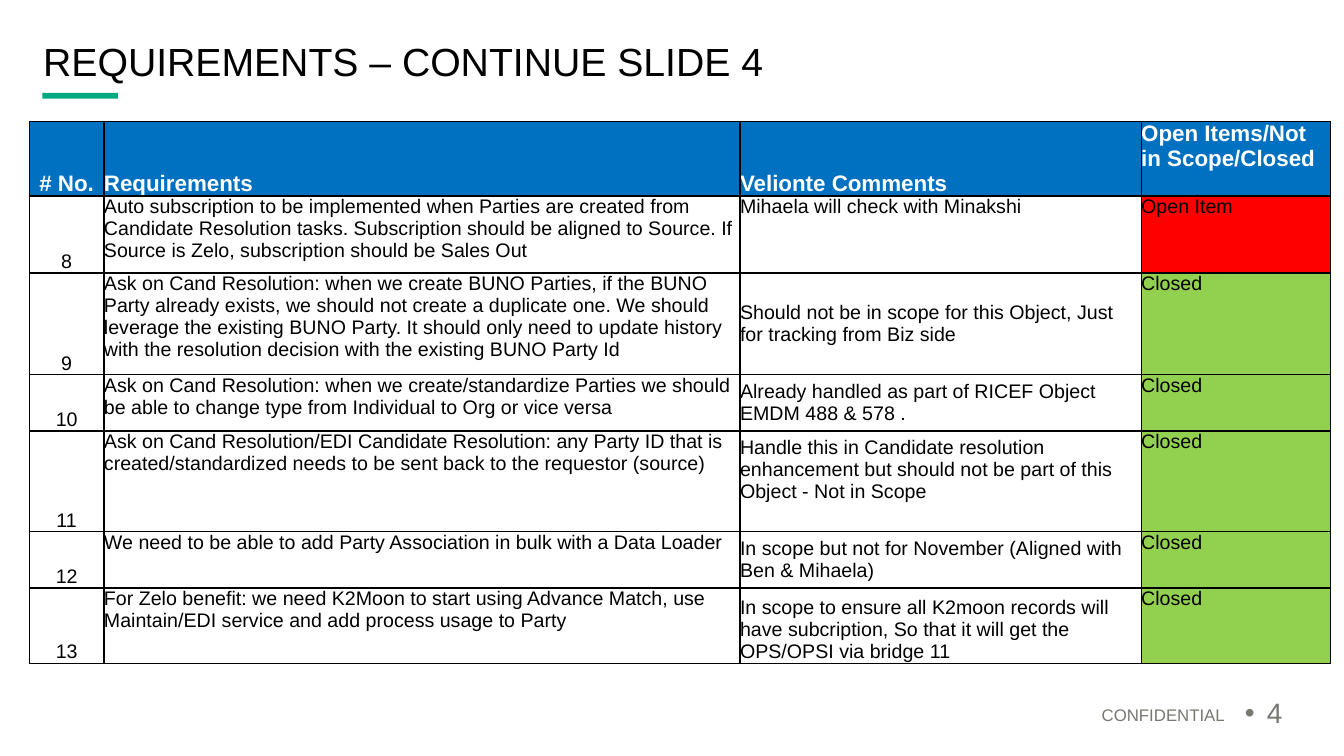
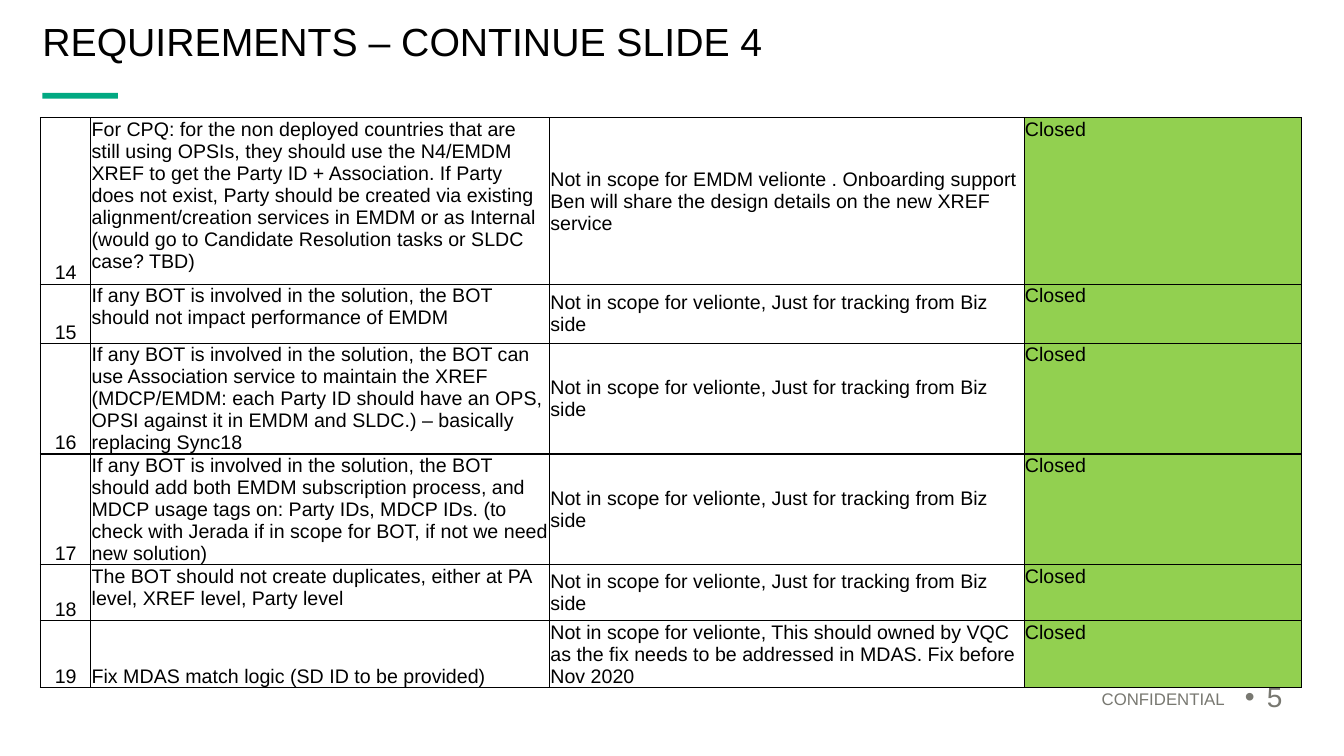
import pptx
import pptx.util
import pptx.dml.color
import pptx.enum.shapes
import pptx.enum.text
import pptx.oxml.ns
import lxml.etree

Cm = pptx.util.Cm
Pt = pptx.util.Pt
qn = pptx.oxml.ns.qn
ALIGN = pptx.enum.text.PP_ALIGN
ANCHORS = {
    "t": pptx.enum.text.MSO_ANCHOR.TOP,
    "m": pptx.enum.text.MSO_ANCHOR.MIDDLE,
    "b": pptx.enum.text.MSO_ANCHOR.BOTTOM,
}
COLORS = {
    "text": "000000",
    "white": "FFFFFF",
    "accent": "01A982",
    "footer": "787871",
    "header": "0070C0",
    "Open Item": "FF0000",
    "Closed": "92D050",
}
TITLE = "REQUIREMENTS – CONTINUE SLIDE 4"
TRACKING = "Not in scope for velionte, Just for tracking from Biz side"
HEADER = ["# No.", "Requirements", "Velionte Comments", "Open Items/Not in Scope/Closed"]

# Each row: number, requirement, comment, status, anchors of the four cells
REQUIREMENTS_8_TO_13 = [
    ("8", "Auto subscription to be implemented when Parties are created from Candidate "
     "Resolution tasks. Subscription should be aligned to Source. If Source is Zelo, "
     "subscription should be Sales Out",
     "Mihaela will check with Minakshi", "Open Item", "bttt"),
    ("9", "Ask on Cand Resolution: when we create BUNO Parties, if the BUNO Party already "
     "exists, we should not create a duplicate one. We should leverage the existing BUNO "
     "Party. It should only need to update history with the resolution decision with the "
     "existing BUNO Party Id",
     "Should not be in scope for this Object, Just for tracking from Biz side",
     "Closed", "btmt"),
    ("10", "Ask on Cand Resolution: when we create/standardize Parties we should be able to "
     "change type from Individual to Org or vice versa",
     "Already handled as part of RICEF Object EMDM 488 & 578 .", "Closed", "btmt"),
    ("11", "Ask on Cand Resolution/EDI Candidate Resolution: any Party ID that is "
     "created/standardized needs to be sent back to the requestor (source)",
     "Handle this in Candidate resolution enhancement but should not be part of this "
     "Object - Not in Scope", "Closed", "btmt"),
    ("12", "We need to be able to add Party Association in bulk with a Data Loader",
     "In scope but not for November (Aligned with Ben & Mihaela)", "Closed", "btmt"),
    ("13", "For Zelo benefit: we need K2Moon to start using Advance Match, use "
     "Maintain/EDI service and add process usage to Party",
     "In scope to ensure all K2moon records will have subcription, So that it will get "
     "the OPS/OPSI via bridge 11", "Closed", "btbt"),
]
REQUIREMENTS_14_TO_19 = [
    ("14", "For CPQ: for the non deployed countries that are still using OPSIs, they should "
     "use the N4/EMDM XREF to get the Party ID + Association. If Party does not exist, "
     "Party should be created via existing alignment/creation services in EMDM or as "
     "Internal (would go to Candidate Resolution tasks or SLDC case? TBD)",
     "Not in scope for EMDM velionte . Onboarding support\n"
     "Ben will share the design details on the new XREF service", "Closed", "btmt"),
    ("15", "If any BOT is involved in the solution, the BOT should not impact performance "
     "of EMDM", TRACKING, "Closed", "btmt"),
    ("16", "If any BOT is involved in the solution, the BOT can use Association service to "
     "maintain the XREF (MDCP/EMDM: each Party ID should have an OPS, OPSI against it in "
     "EMDM and SLDC.) – basically replacing Sync18", TRACKING, "Closed", "btmt"),
    ("17", "If any BOT is involved in the solution, the BOT should add both EMDM "
     "subscription process, and MDCP usage tags on: Party IDs, MDCP IDs. (to check with "
     "Jerada if in scope for BOT, if not we need new solution)",
     TRACKING, "Closed", "btmt"),
    ("18", "The BOT should not create duplicates, either at PA level, XREF level, Party "
     "level", TRACKING, "Closed", "btmt"),
    ("19", "Fix MDAS match logic (SD ID to be provided)",
     "Not in scope for velionte, This should owned by VQC as the fix needs to be addressed "
     "in MDAS. Fix before Nov 2020", "Closed", "bbmt"),
]


def rgb(name):
    return pptx.dml.color.RGBColor.from_string(COLORS[name])


def write_text(frame, text, size=14, color="text", bold=False, align=ALIGN.LEFT,
               spacing=None):
    """Write one paragraph for each line; the default line height is fixed."""
    for index, line in enumerate(text.split("\n")):
        paragraph = frame.paragraphs[0] if index == 0 else frame.add_paragraph()
        paragraph.alignment = align
        paragraph.line_spacing = spacing or Pt(size * 1.12)
        run = paragraph.add_run()
        run.text = line
        run.font.name = "Arial"
        run.font.size = Pt(size)
        run.font.bold = bold
        run.font.color.rgb = rgb(color)
        # The paragraph mark must not be taller than the text
        lxml.etree.SubElement(paragraph._p, qn("a:endParaRPr"), sz=str(size * 100))


class Deck:
    def __init__(self):
        self.presentation = pptx.Presentation()
        self.presentation.slide_width = Cm(33.87)
        self.presentation.slide_height = Cm(19.05)
        self.slide = None

    def add_slide(self):
        self.slide = self.presentation.slides.add_slide(self.presentation.slide_layouts[6])

    def text_box(self, left, top, width, height, text, inset=None, anchor="t", **style):
        shape = self.slide.shapes.add_textbox(Cm(left), Cm(top), Cm(width), Cm(height))
        frame = shape.text_frame
        frame.word_wrap = True
        frame.vertical_anchor = ANCHORS[anchor]
        if inset is not None:
            frame.margin_left = frame.margin_right = Cm(inset)
            frame.margin_top = frame.margin_bottom = Cm(inset)
        write_text(frame, text, spacing=0.9, **style)
        return frame

    def title(self, left, top):
        bar = self.slide.shapes.add_shape(
            pptx.enum.shapes.MSO_SHAPE.RECTANGLE, Cm(1.07), Cm(2.34), Cm(1.9), Cm(0.15))
        bar.shadow.inherit = False
        bar.fill.solid()
        bar.fill.fore_color.rgb = rgb("accent")
        bar.line.fill.background()
        self.text_box(left, top, 31.72, 1.19, TITLE, inset=0, size=28)

    def footer(self, top, number):
        self.text_box(19.69, top + 0.2, 11.43, 0.61, "CONFIDENTIAL",
                      size=12, color="footer", align=ALIGN.RIGHT)
        frame = self.text_box(31.12, top, 1.9, 1.02, str(number), anchor="m",
                              size=20, color="footer")
        properties = frame.paragraphs[0]._p.get_or_add_pPr()
        properties.set("marL", str(Cm(0.56)))
        properties.set("indent", str(-Cm(0.56)))
        lxml.etree.SubElement(properties, qn("a:buSzPct"), val="100000")
        lxml.etree.SubElement(properties, qn("a:buFont"), typeface="Arial")
        lxml.etree.SubElement(properties, qn("a:buChar"), char="•")

    def cell(self, cell, text, anchor, fill, inset, **style):
        cell.margin_left = cell.margin_right = cell.margin_top = Cm(inset)
        cell.margin_bottom = Cm(0)
        cell.vertical_anchor = ANCHORS[anchor]
        write_text(cell.text_frame, text, **style)
        properties = cell._tc.get_or_add_tcPr()
        for side in "LRTB":
            line = lxml.etree.SubElement(properties, qn("a:ln" + side), w=str(Pt(1)))
            solid = lxml.etree.SubElement(line, qn("a:solidFill"))
            lxml.etree.SubElement(solid, qn("a:srgbClr"), val=COLORS["text"])
        if fill:
            cell.fill.solid()
            cell.fill.fore_color.rgb = rgb(fill)
        else:
            cell.fill.background()

    def table(self, left, top, widths, heights, rows, header=None, inset=0):
        table = self.slide.shapes.add_table(
            len(heights), len(widths), Cm(left), Cm(top),
            Cm(sum(widths)), Cm(sum(heights))).table
        table.first_row = header is not None
        table.horz_banding = False
        for column, width in zip(table.columns, widths):
            column.width = Cm(width)
        for row, height in zip(table.rows, heights):
            row.height = Cm(height)
        aligns = [ALIGN.CENTER] + [ALIGN.LEFT] * 3
        if header:
            for column, text in enumerate(header):
                self.cell(table.cell(0, column), text, "bbbt"[column], "header", inset,
                          size=16, color="white", bold=True, align=aligns[column])
        for row, (*texts, anchors) in enumerate(rows, start=1 if header else 0):
            fills = [None, None, None, texts[3]]
            for column, text in enumerate(texts):
                self.cell(table.cell(row, column), text, anchors[column], fills[column],
                          inset, align=aligns[column])
        return table


def main():
    deck = Deck()

    # Requirements 8 to 13
    deck.add_slide()
    deck.title(1.09, 1.07)
    deck.footer(17.5, 4)
    table = deck.table(0.74, 3.06, [1.88, 16.03, 10.11, 4.76],
                       [1.88, 1.94, 2.56, 1.42, 2.53, 1.43, 1.89],
                       REQUIREMENTS_8_TO_13, header=HEADER)
    table.cell(4, 2).margin_bottom = Cm(0.56)  # lifts the comment by half a line

    # Requirements 14 to 19
    deck.add_slide()
    deck.title(1.07, 0.58)
    deck.footer(17.1, 5)
    deck.table(1.02, 2.97, [1.27, 11.56, 11.96, 6.99],
               [4.19, 1.49, 2.79, 2.79, 1.41, 1.69],
               REQUIREMENTS_14_TO_19, inset=0.02)

    deck.presentation.save("out.pptx")


if __name__ == "__main__":
    main()
